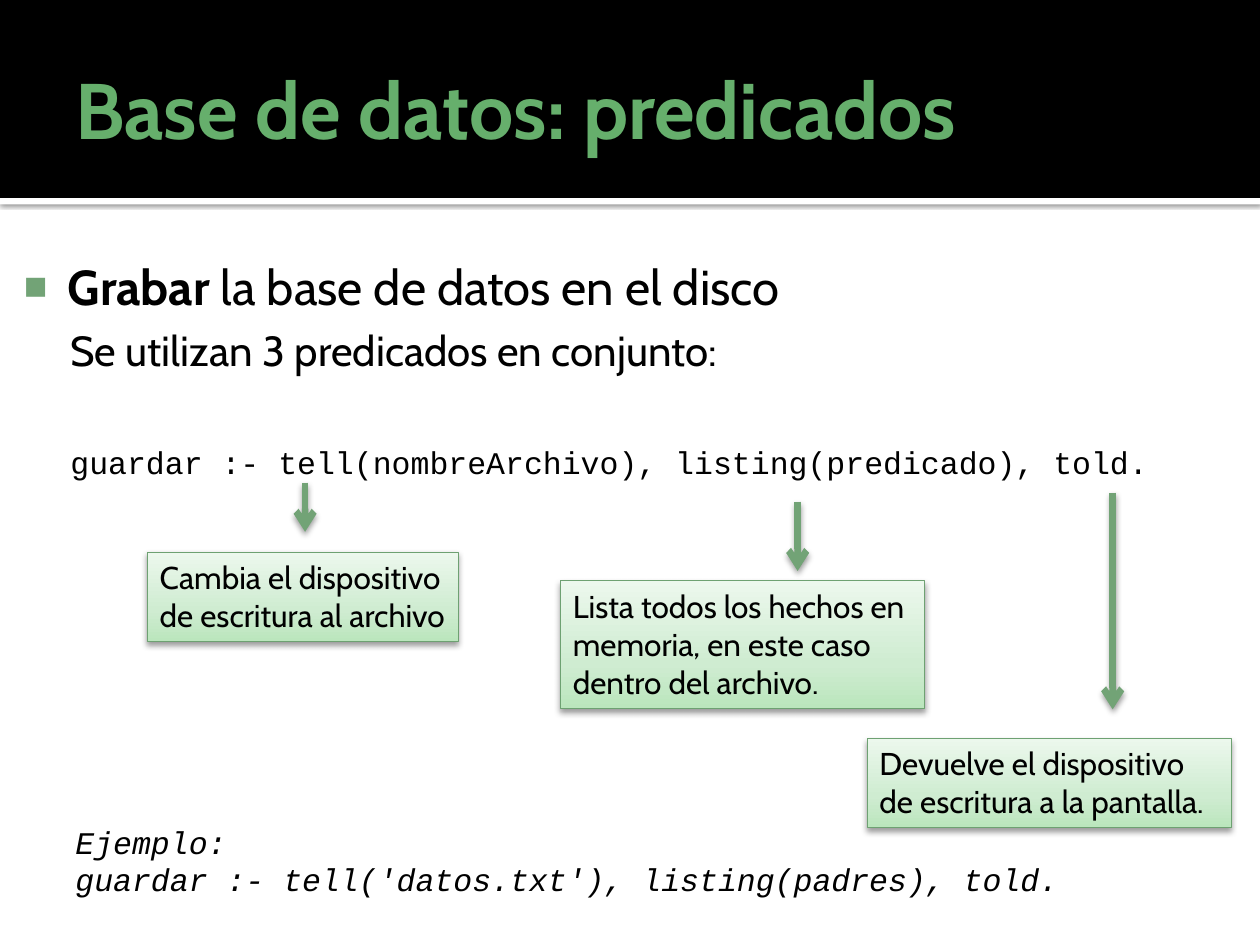
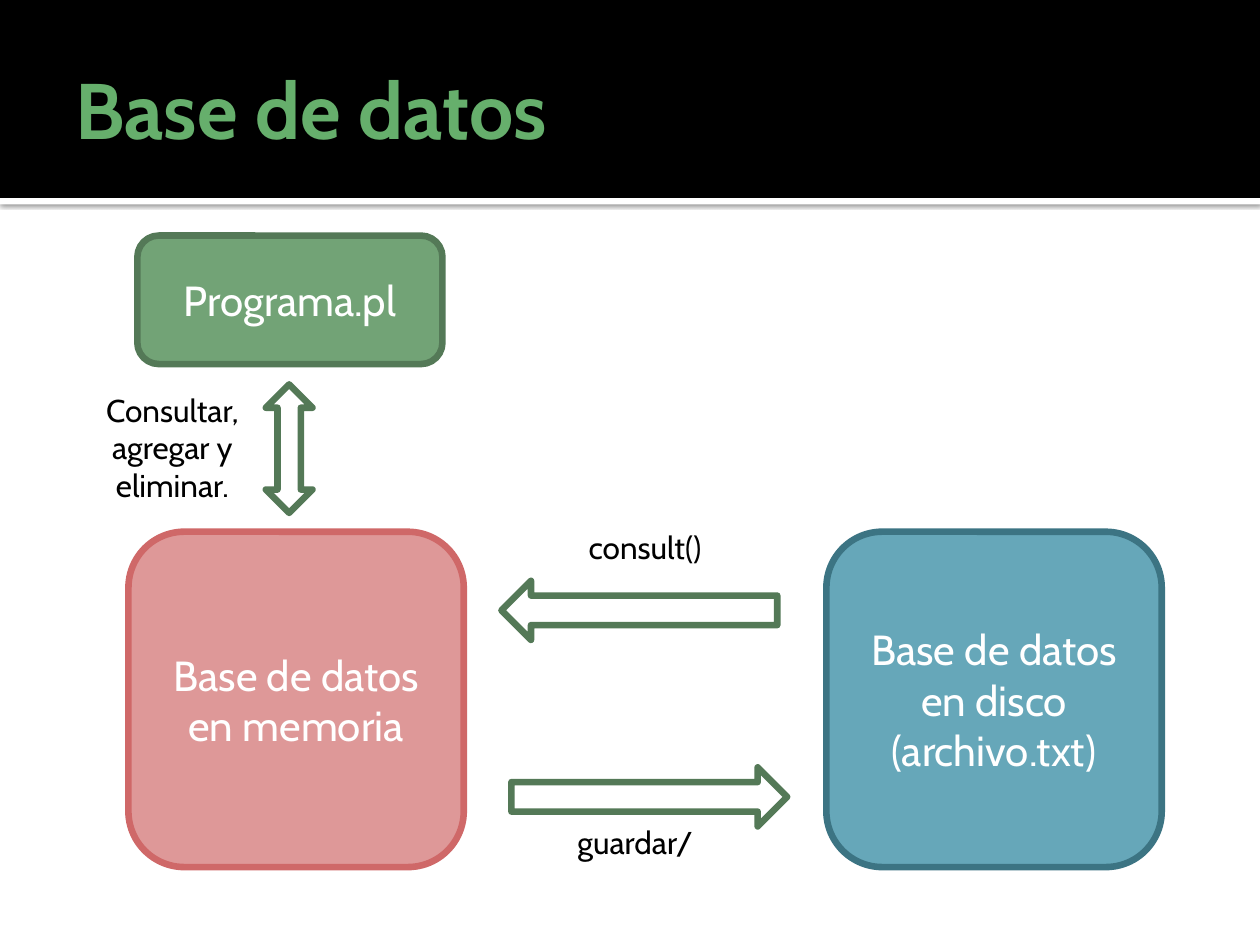
from copy import deepcopy
from typing import Any, NamedTuple, Optional

from lxml import etree
from pptx import Presentation
from pptx.dml.color import RGBColor
from pptx.enum.shapes import MSO_CONNECTOR, MSO_SHAPE
from pptx.enum.text import MSO_ANCHOR, MSO_AUTO_SIZE, PP_ALIGN
from pptx.oxml.ns import qn
from pptx.slide import Slide
from pptx.util import Cm, Pt

RECTANGLE = MSO_SHAPE.RECTANGLE
ROUNDED = MSO_SHAPE.ROUNDED_RECTANGLE
LEFT_ARROW = MSO_SHAPE.LEFT_ARROW
RIGHT_ARROW = MSO_SHAPE.RIGHT_ARROW
UP_DOWN_ARROW = MSO_SHAPE.UP_DOWN_ARROW
STRAIGHT = MSO_CONNECTOR.STRAIGHT
LEFT, CENTER = PP_ALIGN.LEFT, PP_ALIGN.CENTER
TOP, MIDDLE = MSO_ANCHOR.TOP, MSO_ANCHOR.MIDDLE
FIXED, GROW = MSO_AUTO_SIZE.NONE, MSO_AUTO_SIZE.SHAPE_TO_FIT_TEXT

BLACK, WHITE = "000000", "FFFFFF"
GREEN, DARK_GREEN = "72A376", "547957"
TITLE_GREEN, NOTE_BORDER = "66AF6C", "6EA172"
NOTE_GRADIENT = [(0, "BBE6BD"), (0.35, "CFECD1"), (1, "ECF8ED")]
THICK = 3.78
SLIDE_WIDTH, BAND_HEIGHT = 25.4, 3.99

MAIN_FONT, CODE_FONT = "Cabin", "Courier New"
TITLE = {"name": MAIN_FONT, "size": Pt(45), "bold": True}
HEADING = {"name": MAIN_FONT, "size": Pt(28)}
LARGE = {"name": MAIN_FONT, "size": Pt(24)}
NORMAL = {"name": MAIN_FONT, "size": Pt(18)}
CODE = {"name": CODE_FONT, "size": Pt(18)}
EXAMPLE = {**CODE, "italic": True}


class Box(NamedTuple):
    left: float
    top: float
    width: float
    height: float


class Shadow(NamedTuple):
    """Downward shadow: opacity in percent, lengths in points."""
    opacity: int
    blur: float
    distance: float


class Note(NamedTuple):
    box: Box
    lines: list[str]
    wrap: bool = True


class Arrow(NamedTuple):
    x: float
    start: float
    end: float


class Node(NamedTuple):
    box: Box
    text: str
    fill: str
    border: str


class BlockArrow(NamedTuple):
    kind: Any
    box: Box


class Label(NamedTuple):
    box: Box
    text: str


STRIP_SHADOW = Shadow(60, 2.5, 0.8)
SOFT_SHADOW = Shadow(38, 3.5, 2)

NOTES = [
    Note(Box(2.97, 11.13, 6.27, 1.8),
         ["Cambia el dispositivo", "de escritura al archivo"], wrap=False),
    Note(Box(11.3, 11.71, 7.34, 2.57),
         ["Lista todos los hechos en memoria, en este caso dentro del archivo."]),
    Note(Box(17.48, 14.88, 7.34, 1.8),
         ["Devuelve el dispositivo de escritura a la pantalla."]),
]
ARROWS = [Arrow(6.15, 9.73, 10.72), Arrow(16.08, 10.11, 11.51), Arrow(22.43, 9.93, 14.3)]

NODES = [
    Node(Box(2.77, 4.75, 6.15, 2.59), "Programa.pl", GREEN, DARK_GREEN),
    Node(Box(2.59, 10.72, 6.76, 6.76), "Base de datos en memoria", "DE9898", "CF6868"),
    Node(Box(16.66, 10.72, 6.76, 6.76), "Base de datos en disco (archivo.txt)",
         "66A7B9", "3C7483"),
]
BLOCK_ARROWS = [
    BlockArrow(UP_DOWN_ARROW, Box(5.36, 7.75, 0.94, 2.59)),
    BlockArrow(RIGHT_ARROW, Box(10.31, 15.47, 5.56, 1.19)),
    BlockArrow(LEFT_ARROW, Box(10.11, 11.71, 5.56, 1.19)),
]
LABELS = [
    Label(Box(1.19, 7.75, 4.57, 2.57), "Consultar, agregar y eliminar."),
    Label(Box(10.72, 10.52, 4.57, 1.02), "consult()"),
    Label(Box(10.52, 16.46, 4.57, 1.02), "guardar/"),
]


def rgb(color: str) -> RGBColor:
    return RGBColor.from_string(color)


def lengths(box: Box) -> list[Cm]:
    return [Cm(value) for value in box]


def apply(target: Any, values: dict[str, Any]) -> None:
    for name, value in values.items():
        setattr(target, name, value)


def add_element(parent: Any, tag: str, **attributes: Any) -> Any:
    texts = {name: str(value) for name, value in attributes.items()}
    return etree.SubElement(parent, qn(tag), texts)


def set_shadow(shape: Any, shadow: Optional[Shadow] = None) -> None:
    """Replace the theme shadow; call after the line has been set."""
    effects = add_element(shape.element.spPr, "a:effectLst")
    if shadow:
        outer = add_element(effects, "a:outerShdw", blurRad=Pt(shadow.blur),
                            dist=Pt(shadow.distance), dir=90 * 60000, rotWithShape=0)
        color = add_element(outer, "a:srgbClr", val=BLACK)
        add_element(color, "a:alpha", val=shadow.opacity * 1000)


def add_box(slide: Slide, kind: Any, box: Box, fill: Optional[str],
            border: Optional[str] = None, width: float = THICK,
            shadow: Optional[Shadow] = None) -> Any:
    shape = slide.shapes.add_shape(kind, *lengths(box))
    if fill:
        shape.fill.solid()
        shape.fill.fore_color.rgb = rgb(fill)
    if border:
        shape.line.color.rgb = rgb(border)
        shape.line.width = Pt(width)
    else:
        shape.line.fill.background()
    set_shadow(shape, shadow)
    return shape


def add_run(paragraph: Any, text: str, font: dict[str, Any], color: str = BLACK) -> None:
    run = paragraph.add_run()
    run.text = text
    apply(run.font, font)
    run.font.color.rgb = rgb(color)


def write(shape: Any, lines: list[str], font: dict[str, Any], color: str = BLACK,
          alignment: Any = LEFT, **frame_values: Any) -> None:
    """Write one paragraph per line into an empty text frame."""
    frame = shape.text_frame
    apply(frame, {"word_wrap": True, "vertical_anchor": TOP, **frame_values})
    for index, line in enumerate(lines):
        paragraph = frame.add_paragraph() if index else frame.paragraphs[0]
        paragraph.alignment = alignment
        add_run(paragraph, line, font, color)


def set_indent(paragraph: Any, left: float, first: float = 0) -> Any:
    properties = paragraph._p.get_or_add_pPr()
    properties.set("marL", str(Cm(left)))
    properties.set("indent", str(Cm(first)))
    return properties


def add_titled_slide(presentation: Any, text: str) -> Slide:
    slide = presentation.slides.add_slide(presentation.slide_layouts[5])
    title = slide.shapes.title
    strip = add_box(slide, RECTANGLE, Box(0, BAND_HEIGHT, SLIDE_WIDTH, 0.13), WHITE,
                    shadow=STRIP_SHADOW)
    band = add_box(slide, RECTANGLE, Box(0, 0, SLIDE_WIDTH, BAND_HEIGHT), BLACK)
    for shape in (strip, band):
        title.element.addprevious(shape.element)
    position = lengths(Box(1.27, 0.43, 22.86, 3.48))
    apply(title, dict(zip(("left", "top", "width", "height"), position)))
    write(title, [text], TITLE, TITLE_GREEN, vertical_anchor=MIDDLE, auto_size=FIXED,
          margin_left=Cm(0.25), margin_right=Cm(0.13),
          margin_top=Cm(0.13), margin_bottom=Cm(0.13))
    return slide


def add_body(slide: Slide) -> None:
    body = slide.shapes.add_textbox(*lengths(Box(0, 4.93, SLIDE_WIDTH, 12.93)))
    frame = body.text_frame
    apply(frame, {"word_wrap": True, "margin_left": Cm(0.15), "margin_top": Cm(0.25),
                  "margin_right": Cm(0.25), "margin_bottom": Cm(0.13)})
    heading = frame.paragraphs[0]
    add_run(heading, "Grabar", {**HEADING, "bold": True})
    add_run(heading, " la base de datos en el disco", HEADING)
    properties = set_indent(heading, 1.22, -0.89)
    add_element(add_element(properties, "a:buClr"), "a:srgbClr", val=GREEN)
    add_element(properties, "a:buSzPct", val=80000)
    add_element(properties, "a:buFont", typeface="Arial")
    add_element(properties, "a:buChar", char="■")
    for text, font, space in [
        ("Se utilizan 3 predicados en conjunto:", LARGE, 5),
        ("guardar :- tell(nombreArchivo), listing(predicado), told.", CODE, 39),
    ]:
        paragraph = frame.add_paragraph()
        paragraph.space_before = Pt(space)
        set_indent(paragraph, 2.03, -0.76)
        add_run(paragraph, text, font)


def add_arrow(slide: Slide, arrow: Arrow) -> None:
    x = Cm(arrow.x)
    connector = slide.shapes.add_connector(STRAIGHT, x, Cm(arrow.start), x, Cm(arrow.end))
    connector.line.color.rgb = rgb(GREEN)
    connector.line.width = Pt(THICK)
    add_element(connector.line._get_or_add_ln(), "a:tailEnd", type="arrow")
    set_shadow(connector, SOFT_SHADOW)


def add_note(slide: Slide, note: Note) -> None:
    shape = add_box(slide, RECTANGLE, note.box, None, NOTE_BORDER, 0.5, SOFT_SHADOW)
    shape.fill.gradient()
    shape.fill.gradient_angle = 90
    stop_list = shape.element.spPr.find(".//" + qn("a:gsLst"))
    stop_list.append(deepcopy(stop_list[-1]))
    for stop, (position, color) in zip(shape.fill.gradient_stops, NOTE_GRADIENT):
        stop.position = position
        stop.color.rgb = rgb(color)
    write(shape, note.lines, NORMAL, word_wrap=note.wrap, auto_size=GROW)


def build_predicates_slide(presentation: Any) -> None:
    slide = add_titled_slide(presentation, "Base de datos: predicados")
    add_body(slide)
    for arrow, note in zip(ARROWS, NOTES):
        add_arrow(slide, arrow)
        add_note(slide, note)
    example = slide.shapes.add_textbox(*lengths(Box(0, 16.46, 24.61, 1.8)))
    write(example, ["Ejemplo:", "guardar :- tell('datos.txt'), listing(padres), told."],
          EXAMPLE, auto_size=GROW)
    for paragraph in example.text_frame.paragraphs:
        set_indent(paragraph, 1.27)


def build_diagram_slide(presentation: Any) -> None:
    slide = add_titled_slide(presentation, "Base de datos")
    for node in NODES:
        shape = add_box(slide, ROUNDED, node.box, node.fill, node.border)
        write(shape, [node.text], LARGE, WHITE, CENTER, vertical_anchor=MIDDLE)
    for arrow in BLOCK_ARROWS:
        add_box(slide, arrow.kind, arrow.box, WHITE, DARK_GREEN)
    for label in LABELS:
        textbox = slide.shapes.add_textbox(*lengths(label.box))
        write(textbox, [label.text], NORMAL, alignment=CENTER, auto_size=GROW)


def main() -> None:
    presentation = Presentation()
    presentation.slide_width = Cm(SLIDE_WIDTH)
    presentation.slide_height = Cm(19.05)
    build_predicates_slide(presentation)
    build_diagram_slide(presentation)
    presentation.save("out.pptx")


if __name__ == "__main__":
    main()
